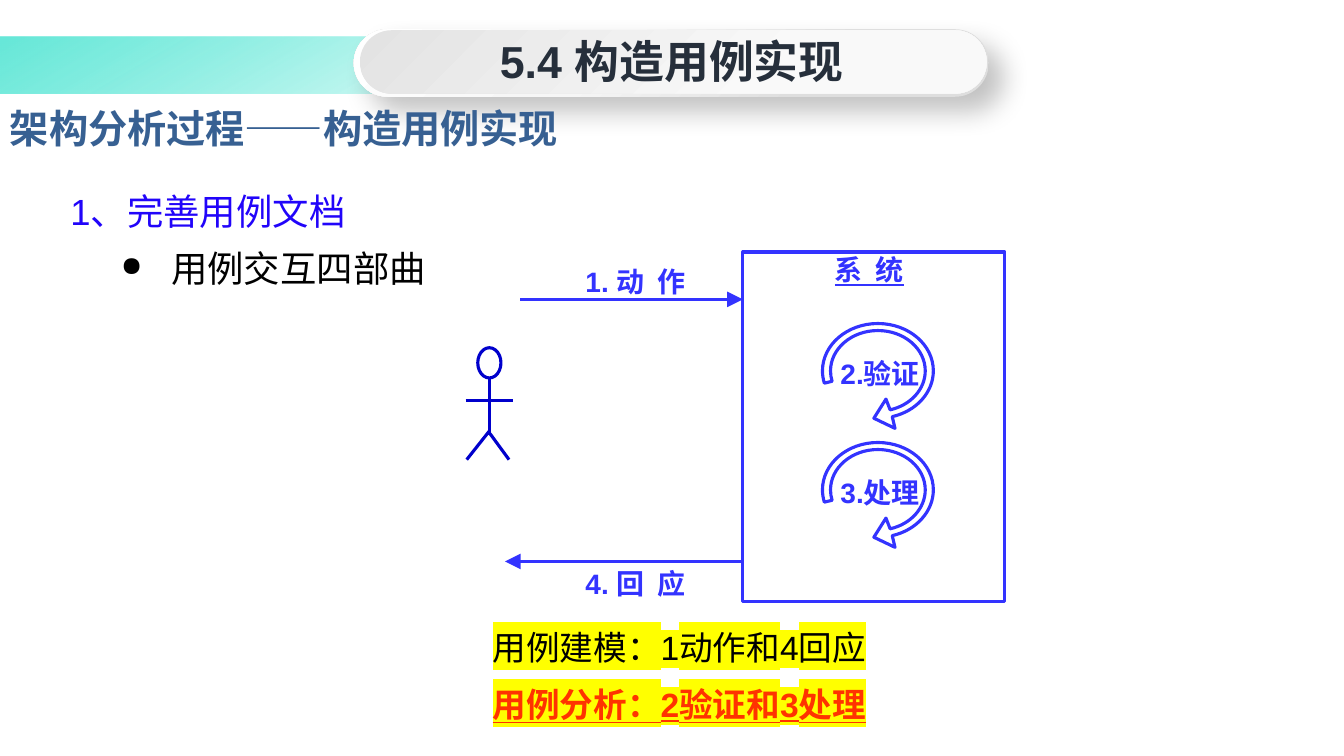
"""Build the slide on realising use cases, with an actor and system interaction diagram."""
import math
from dataclasses import dataclass
from typing import NamedTuple, Optional

from pptx import Presentation
from pptx import util as u
from pptx.dml.color import RGBColor
from pptx.enum import shapes, text
from pptx.oxml import parse_xml
from pptx.oxml.ns import nsdecls, qn


@dataclass(frozen=True)
class Theme:
    """Colours, font and type sizes of the slide."""
    font: str = "Arial"
    title: str = "262F3B"
    heading: str = "376092"
    topic: str = "2104FA"
    body: str = "000000"
    diagram: str = "3333FF"
    actor: str = "0000CC"
    emphasis: str = "FF3300"
    marker: str = "FFFF00"
    title_size: int = 32
    heading_size: int = 28
    topic_size: int = 26
    summary_size: int = 24
    label_size: int = 20
    stroke: float = 2.25


class Box(NamedTuple):
    """Left, top, width and height in inches."""
    left: float
    top: float
    width: float
    height: float


class Stop(NamedTuple):
    """One gradient stop, with position and opacity in percent."""
    position: int
    color: str
    opacity: int = 100


class Panel(NamedTuple):
    """A borderless shape with a gradient fill."""
    kind: shapes.MSO_SHAPE
    box: Box
    angle: int
    stops: tuple[Stop, ...]
    shadow: bool = False


class Segment(NamedTuple):
    """A straight line between two points."""
    x1: float
    y1: float
    x2: float
    y2: float


class Label(NamedTuple):
    """A diagram caption."""
    text: str
    box: Box
    centered: bool = False


THEME = Theme()
PILL = shapes.MSO_SHAPE.ROUNDED_RECTANGLE
PANELS = (
    Panel(shapes.MSO_SHAPE.RECTANGLE, Box(-0.01, 0.36, 13.17, 0.57), 60,
          (Stop(1, "4EE4D2", 85), Stop(50, "20E2CB", 0))),
    Panel(PILL, Box(3.51, 0.29, 6.3, 0.67), 225,
          (Stop(1, "DEDEDE"), Stop(30, "E0E0E0"), Stop(61, "F6F6F6"), Stop(100, "FFFFFF")), True),
    Panel(PILL, Box(3.57, 0.3, 6.22, 0.63), 45, (Stop(0, "E3E3E3"), Stop(67, "F9F9F9"))),
)
ACTOR_LIMBS = (
    Segment(4.62, 3.97, 5.09, 3.97),
    Segment(4.86, 3.75, 4.86, 4.32),
    Segment(4.86, 4.27, 4.63, 4.56),
    Segment(4.86, 4.3, 5.05, 4.56),
)
MESSAGES = (Segment(5.16, 2.97, 7.37, 2.97), Segment(7.37, 5.57, 5.01, 5.57))
LOOP_CENTERS = ((8.71, 3.68), (8.71, 4.86))
LOOP_ANGLES = (75, 0, -90, -180, -195)
LABELS = (
    Label("1. 动  作", Box(5.71, 2.58, 1.42, 0.43)),
    Label("4. 回  应", Box(5.71, 5.57, 1.81, 0.43)),
    Label("2.验证", Box(8.24, 3.49, 1.1, 0.43)),
    Label("3.处理", Box(8.24, 4.67, 1.1, 0.43)),
    Label("系  统", Box(7.68, 2.46, 1.89, 0.43), True),
)


def inches(values) -> list:
    """Convert numbers to lengths."""
    return [u.Inches(value) for value in values]


def outline(shape, color: str):
    """Give a shape or connector a plain stroke."""
    shape.line.color.rgb = RGBColor.from_string(color)
    shape.line.width = u.Pt(THEME.stroke)


def add_outlined(slide, kind, box: Box, color: str):
    """Draw an unfilled preset shape."""
    shape = slide.shapes.add_shape(kind, *inches(box))
    shape.shadow.inherit = False
    shape.fill.background()
    outline(shape, color)
    return shape


def add_panel(slide, panel: Panel):
    """Draw a gradient panel, optionally with a soft shadow."""
    shape = slide.shapes.add_shape(panel.kind, *inches(panel.box))
    if panel.kind == PILL:
        shape.adjustments[0] = 0.5
    shape.line.fill.background()
    shape.fill.background()
    shape.shadow.inherit = False
    stops = "".join(
        f'<a:gs pos="{stop.position * 1000}"><a:srgbClr val="{stop.color}">'
        f'<a:alpha val="{stop.opacity * 1000}"/></a:srgbClr></a:gs>' for stop in panel.stops)
    gradient = parse_xml(f'<a:gradFill {nsdecls("a")} rotWithShape="1"><a:gsLst>{stops}</a:gsLst>'
                         f'<a:lin ang="{panel.angle * 60000}" scaled="0"/></a:gradFill>')
    properties = shape._element.spPr
    properties.replace(properties.find(qn("a:noFill")), gradient)
    if panel.shadow:
        properties.find(qn("a:effectLst")).append(parse_xml(
            f'<a:outerShdw {nsdecls("a")} blurRad="{u.Pt(19)}" dist="{u.Pt(14)}" dir="2700000" '
            'algn="tl" rotWithShape="0"><a:srgbClr val="000000"><a:alpha val="24000"/>'
            '</a:srgbClr></a:outerShdw>'))


def add_line(slide, segment: Segment, color: str, arrow: bool = False):
    """Draw a straight connector, optionally with an arrowhead at its end."""
    line = slide.shapes.add_connector(shapes.MSO_CONNECTOR.STRAIGHT, *inches(segment))
    outline(line, color)
    if arrow:
        line.line._get_or_add_ln().append(
            parse_xml(f'<a:tailEnd {nsdecls("a")} type="triangle" w="lg" len="lg"/>'))
    line._element.spPr.append(parse_xml(f'<a:effectLst {nsdecls("a")}/>'))
    return line


def add_loop(slide, center_x: float, center_y: float):
    """Draw a circular arrow with Bézier arcs around a centre."""
    def place(radii, angle: float, slope: float = 0) -> list:
        cosine, sine = math.cos(math.radians(angle)), math.sin(math.radians(angle))
        return inches((center_x + radii[0] * (cosine - slope * sine),
                       center_y + radii[1] * (sine + slope * cosine)))

    inner, outer = (0.47, 0.4), (0.55, 0.47)
    head = [inches((center_x + x, center_y + y))
            for x, y in ((0.17, 0.57), (-0.04, 0.47), (0.08, 0.28))]
    stops = [(inner, angle) for angle in LOOP_ANGLES]
    stops += [(outer, angle) for angle in reversed(LOOP_ANGLES)]
    builder = slide.shapes.build_freeform(*place(*stops[0]))
    builder.add_line_segments([place(*stop) for stop in stops[1:]] + head, close=True)
    shape = builder.convert_to_shape()
    sides = list(shape._element.iter(qn("a:lnTo")))
    for side, (radii, begin), (end_radii, end) in zip(sides, stops, stops[1:]):
        if radii != end_radii:
            continue
        slope = 4 / 3 * math.tan(math.radians(end - begin) / 4)
        controls = "".join(f'<a:pt x="{x - shape.left}" y="{y - shape.top}"/>' for x, y in
                           (place(radii, begin, slope), place(radii, end, -slope)))
        curve = parse_xml(f'<a:cubicBezTo {nsdecls("a")}>{controls}</a:cubicBezTo>')
        curve.append(side[0])
        side.getparent().replace(side, curve)
    shape.shadow.inherit = False
    shape.fill.background()
    outline(shape, THEME.diagram)


def add_frame(slide, box: Box, anchor=text.MSO_ANCHOR.TOP):
    """Add a wrapping text box and return its frame."""
    frame = slide.shapes.add_textbox(*inches(box)).text_frame
    frame.word_wrap = True
    frame.vertical_anchor = anchor
    return frame


def write(frame, content: str, *, size: int, color: str, bold: bool = False,
          underline: bool = False, centered: bool = False, before: float = 0,
          spacing: Optional[float] = None, bullet: str = "", highlight: str = ""):
    """Write one formatted paragraph, filling the empty first one when there is one."""
    paragraph = frame.paragraphs[0]
    if paragraph.runs:
        paragraph = frame.add_paragraph()
        paragraph.space_before = u.Pt(before)
    if bullet:
        properties = paragraph._p.get_or_add_pPr()
        properties.set("marL", str(u.Inches(1)))
        properties.set("indent", str(u.Inches(-0.5)))
        properties.append(parse_xml(f'<a:buSzPct {nsdecls("a")} val="75000"/>'))
        properties.append(parse_xml(f'<a:buChar {nsdecls("a")} char="{bullet}"/>'))
        paragraph.level = 1
    if spacing:
        paragraph.line_spacing = spacing
    if centered:
        paragraph.alignment = text.PP_ALIGN.CENTER
    run = paragraph.add_run()
    run.text = content
    run.font.size = u.Pt(size)
    run.font.bold = bold
    run.font.underline = underline
    run.font.color.rgb = RGBColor.from_string(color)
    if highlight:
        run._r.get_or_add_rPr().append(parse_xml(
            f'<a:highlight {nsdecls("a")}><a:srgbClr val="{highlight}"/></a:highlight>'))
    run.font.name = THEME.font


def add_diagram(slide):
    """Draw the system, the actor, the messages and their captions."""
    add_outlined(slide, shapes.MSO_SHAPE.RECTANGLE, Box(7.37, 2.5, 2.6, 3.47), THEME.diagram)
    head = add_outlined(slide, shapes.MSO_SHAPE.OVAL, Box(4.74, 3.45, 0.23, 0.3), THEME.actor)
    limbs = [add_line(slide, limb, THEME.actor) for limb in ACTOR_LIMBS]
    slide.shapes.add_group_shape([head, *limbs])
    for message in MESSAGES:
        add_line(slide, message, THEME.diagram, arrow=True)
    for center in LOOP_CENTERS:
        add_loop(slide, *center)
    for label in LABELS:
        write(add_frame(slide, label.box), label.text, size=THEME.label_size, color=THEME.diagram,
              bold=True, centered=label.centered, underline=label.centered)


def main():
    """Assemble and save the slide."""
    presentation = Presentation()
    presentation.slide_width, presentation.slide_height = inches((40 / 3, 7.5))
    slide = presentation.slides.add_slide(presentation.slide_layouts[6])
    for panel in PANELS:
        add_panel(slide, panel)
    write(add_frame(slide, Box(0, 0.93, 13.38, 0.67), text.MSO_ANCHOR.MIDDLE),
          "架构分析过程——构造用例实现", size=THEME.heading_size, color=THEME.heading, bold=True)
    write(add_frame(slide, Box(3.81, 0.29, 5.71, 0.64)), "5.4 构造用例实现",
          size=THEME.title_size, color=THEME.title, bold=True, centered=True)
    topics = add_frame(slide, Box(0.6, 1.7, 12.04, 1.24))
    write(topics, "1、完善用例文档", size=THEME.topic_size, color=THEME.topic, spacing=1.3)
    write(topics, "用例交互四部曲", size=THEME.topic_size, color=THEME.body, spacing=1.3, bullet="●")
    add_diagram(slide)
    summary = add_frame(slide, Box(2.25, 6.17, 8.98, 1.11))
    write(summary, "用例建模：1动作和4回应", size=THEME.summary_size, color=THEME.body,
          centered=True, highlight=THEME.marker)
    write(summary, "用例分析：2验证和3处理", size=THEME.summary_size, color=THEME.emphasis, bold=True,
          underline=True, centered=True, before=12, highlight=THEME.marker)
    presentation.save("out.pptx")


if __name__ == "__main__":
    main()
